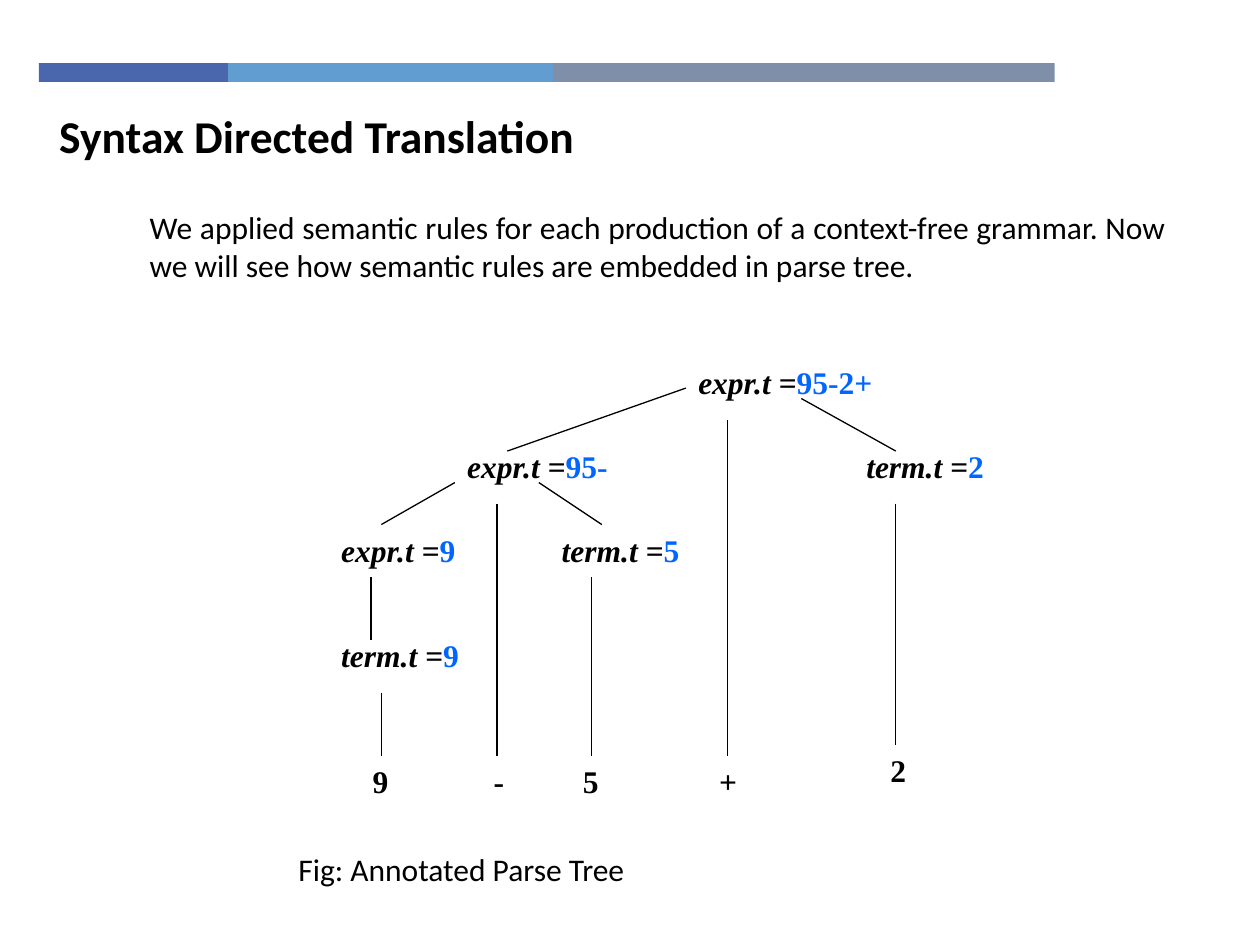
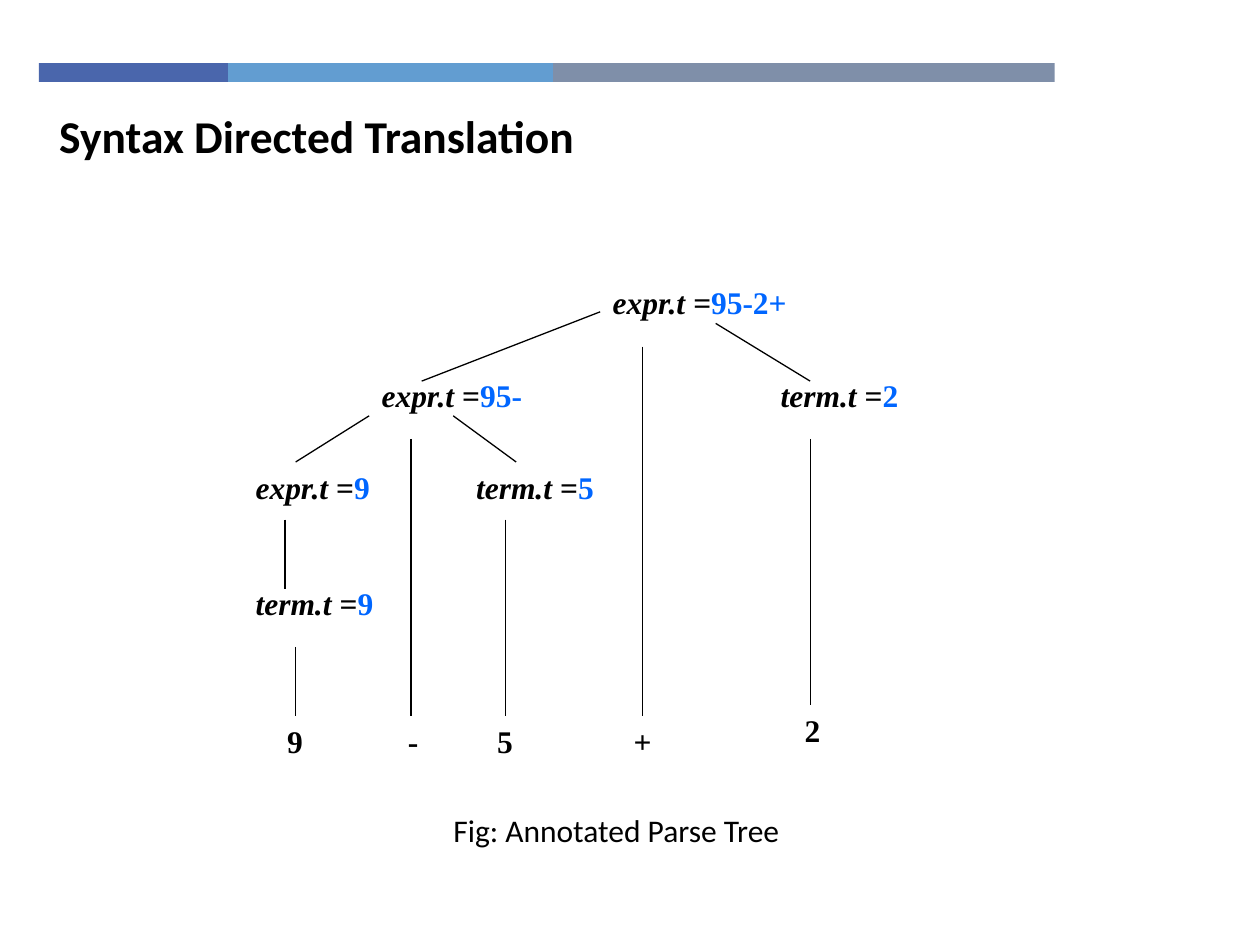
from lxml import etree
from pptx import Presentation
from pptx import util as u
from pptx.dml.color import RGBColor
from pptx.enum import shapes, text

BLACK = RGBColor(0x00, 0x00, 0x00)
VALUE_BLUE = RGBColor(0x00, 0x66, 0xFF)
INDIGO = RGBColor(0x4A, 0x66, 0xAC)
SKY = RGBColor(0x62, 0x9D, 0xD1)
SLATE = RGBColor(0x7F, 0x8F, 0xA9)
SANS, SERIF = "Calibri", "Times New Roman"
A_NS = "http://schemas.openxmlformats.org/drawingml/2006/main"

HEADING = "Syntax Directed Translation"
CAPTION = "Fig: Annotated Parse Tree"
INTRO = ("We applied semantic rules for each production of a context-free grammar. "
         "Now we will see how semantic rules are embedded in parse tree.")
BANDS = [(1.5, INDIGO), (2.58, SKY), (3.98, SLATE)]

# Parse tree on a grid of twelfths of an inch: column, row
COLUMN = 1 / 12
NODES = [
    (34, 0, "expr.t =", "95-2+"),
    (12, 8, "expr.t =", "95-"),
    (50, 8, "term.t =", "2"),
    (0, 16, "expr.t =", "9"),
    (21, 16, "term.t =", "5"),
    (0, 26, "term.t =", "9"),
]
LEAVES = [(3, 38, "9"), (14.5, 38, "-"), (23, 38, "5"), (36, 38, "+"), (52.3, 37, "2")]
BRANCHES = [
    (34, 3, 17, 9), (45, 4, 54, 9), (12, 12, 5, 16), (20, 12, 26, 16),
    (4, 21, 4, 27), (5, 32, 5, 38), (16, 14, 16, 38), (25, 21, 25, 38),
    (38, 6, 38, 38), (54, 14, 54, 37),
]

# Per slide: tree origin, row height, caption corner, introduction
SLIDES = [
    ((2.61, 2.83), COLUMN, (2.27, 6.7), INTRO),
    ((1.93, 2.2), COLUMN * 1.1, (3.5, 6.39), None),
]


def add_run(paragraph, words, font, size=18, color=BLACK, bold=False, italic=False):
    run = paragraph.add_run()
    run.text = words
    run.font.name, run.font.size = font, u.Pt(size)
    run.font.bold, run.font.italic = bold, italic
    run.font.color.rgb = color


def add_paragraph_box(slide, left, top, width, height):
    frame = slide.shapes.add_textbox(
        u.Inches(left), u.Inches(top), u.Inches(width), u.Inches(height)).text_frame
    frame.word_wrap = True
    return frame.paragraphs[0]


prs = Presentation()
prs.slide_width, prs.slide_height = u.Inches(10), u.Inches(7.5)
title_only = prs.slide_layouts[5]

for (tree_left, tree_top), row_height, caption_corner, intro in SLIDES:
    slide = prs.slides.add_slide(title_only)

    # Colour bands, end to end
    band_left = 0.31
    for band_width, color in BANDS:
        band = slide.shapes.add_shape(
            shapes.MSO_SHAPE.RECTANGLE, u.Inches(band_left), u.Inches(0.5),
            u.Inches(band_width), u.Inches(0.15))
        band.shadow.inherit = False
        band.fill.solid()
        band.fill.fore_color.rgb = color
        band.line.fill.background()
        band_left += band_width

    # Title
    title = slide.shapes.title
    title.left, title.top = u.Inches(0.37), u.Inches(0.8)
    title.width, title.height = u.Inches(7.16), u.Inches(0.54)
    title.text_frame.vertical_anchor = text.MSO_ANCHOR.MIDDLE
    heading = title.text_frame.paragraphs[0]
    heading.alignment = text.PP_ALIGN.LEFT
    add_run(heading, HEADING, SANS, size=26, bold=True)

    # Introduction
    if intro:
        opening = add_paragraph_box(slide, 1.09, 1.6, 8.26, 0.75)
        opening.alignment = text.PP_ALIGN.JUSTIFY
        add_run(opening, intro, SANS)

    # Tree nodes with their attribute values
    for column, row, attribute, value in NODES:
        node = add_paragraph_box(slide, tree_left + column * COLUMN,
                                 tree_top + row * row_height, 1.75, 0.43)
        add_run(node, attribute, SERIF, bold=True, italic=True)
        add_run(node, value, SERIF, color=VALUE_BLUE, bold=True)

    # Branches
    for start_column, start_row, end_column, end_row in BRANCHES:
        branch = slide.shapes.add_connector(
            shapes.MSO_CONNECTOR.STRAIGHT,
            u.Inches(tree_left + start_column * COLUMN),
            u.Inches(tree_top + start_row * row_height),
            u.Inches(tree_left + end_column * COLUMN),
            u.Inches(tree_top + end_row * row_height))
        branch.line.color.rgb = BLACK
        branch.line.width = u.Pt(0.75)
        etree.SubElement(branch._element.spPr, f"{{{A_NS}}}effectLst")

    # Leaves
    for column, row, symbol in LEAVES:
        leaf = add_paragraph_box(slide, tree_left + column * COLUMN,
                                 tree_top + row * row_height, 0.75, 0.43)
        add_run(leaf, symbol, SERIF, bold=True)

    # Caption
    add_run(add_paragraph_box(slide, *caption_corner, 2.82, 0.4), CAPTION, SANS)

prs.save("out.pptx")
